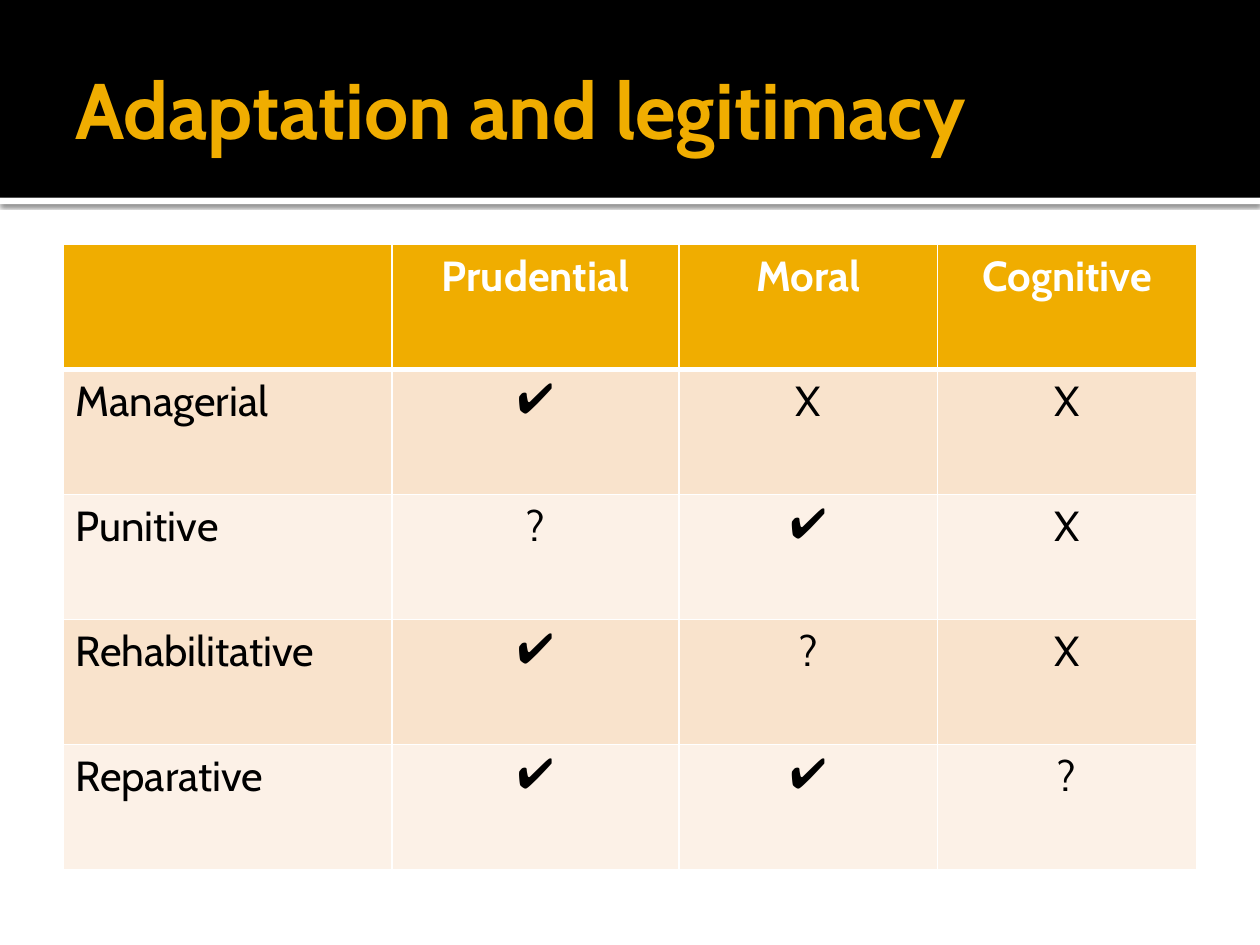
from dataclasses import dataclass
from lxml import etree
from pptx import Presentation
from pptx.dml.color import RGBColor
from pptx.enum.shapes import MSO_SHAPE
from pptx.enum.text import MSO_ANCHOR, PP_ALIGN
from pptx.util import Inches, Pt

RECT = MSO_SHAPE.RECTANGLE
MIDDLE = MSO_ANCHOR.MIDDLE
LEFT, CENTER = PP_ALIGN.LEFT, PP_ALIGN.CENTER
NS = "http://schemas.openxmlformats.org/drawingml/2006/main"


@dataclass
class Theme:
    black: str = "000000"
    white: str = "FFFFFF"
    gold: str = "F0AD00"
    bands: tuple = ("FCF1E7", "F9E3CC")
    font: str = "Cabin"
    symbol_font: str = "Arial"
    title_size: int = 45
    table_size: int = 24


theme = Theme()


def add_run(p, text, size, color, bold=False, font=theme.font):
    r = p.add_run()
    r.text = text
    r.font.name = font
    r.font.size = Pt(size)
    r.font.bold = bold
    r.font.color.rgb = RGBColor.from_string(color)


def set_borders(cell, widths):
    tcPr = cell._tc.get_or_add_tcPr()
    for i, (side, width) in enumerate(widths.items()):
        ln = etree.Element(f"{{{NS}}}ln{side}", w=str(Pt(width)))
        fill = etree.SubElement(ln, f"{{{NS}}}solidFill")
        etree.SubElement(fill, f"{{{NS}}}srgbClr", val=theme.white)
        tcPr.insert(i, ln)


prs = Presentation()
prs.slide_width, prs.slide_height = Inches(10), Inches(7.5)
s = prs.slides.add_slide(prs.slide_layouts[6])

for top, height, color, shadow in [
    (1.57, 0.05, theme.white, True),
    (0, 1.57, theme.black, False),
]:
    sp = s.shapes.add_shape(RECT, 0, Inches(top), Inches(10), Inches(height))
    sp.shadow.inherit = False
    sp.fill.solid()
    sp.fill.fore_color.rgb = RGBColor.from_string(color)
    sp.line.fill.background()
    if shadow:
        effects = sp._element.spPr.find(f"{{{NS}}}effectLst")
        outer = etree.SubElement(
            effects, f"{{{NS}}}outerShdw", blurRad=str(Pt(2.5)), dist=str(Pt(0.8)),
            dir="5400000", algn="tl", rotWithShape="0",
        )
        tint = etree.SubElement(outer, f"{{{NS}}}srgbClr", val=theme.black)
        etree.SubElement(tint, f"{{{NS}}}alpha", val="60000")

title = s.shapes.add_textbox(Inches(0.5), Inches(0.17), Inches(9), Inches(1.37))
tf = title.text_frame
tf.word_wrap = True
tf.vertical_anchor = MIDDLE
tf.margin_left = Inches(0.1)
tf.margin_right = tf.margin_top = tf.margin_bottom = Inches(0.05)
add_run(tf.paragraphs[0], "Adaptation and legitimacy", theme.title_size, theme.gold, True)

rows = [
    ["", "Prudential", "Moral", "Cognitive"],
    ["Managerial", "✔", "X", "X"],
    ["Punitive", "?", "✔", "X"],
    ["Rehabilitative", "✔", "?", "X"],
    ["Reparative", "✔", "✔", "?"],
]
col_widths = [2.61, 2.28, 2.05, 2.06]
table = s.shapes.add_table(
    len(rows), len(col_widths), Inches(0.5), Inches(1.94), Inches(9), Inches(4.96)
).table
table.first_row = table.horz_banding = False
for column, width in zip(table.columns, col_widths):
    column.width = Inches(width)

for i, values in enumerate(rows):
    header = i == 0
    table.rows[i].height = Inches(4.96 / len(rows))
    for j, text in enumerate(values):
        cell = table.cell(i, j)
        cell.fill.solid()
        cell.fill.fore_color.rgb = RGBColor.from_string(
            theme.gold if header else theme.bands[i % 2]
        )
        top, bottom = 3 if i == 1 else 1, 3 if header else 1
        set_borders(cell, {"L": 1, "R": 1, "T": top, "B": bottom})
        p = cell.text_frame.paragraphs[0]
        p.alignment = CENTER if j else LEFT
        if text:
            color = theme.white if header else theme.black
            font = theme.symbol_font if text == "✔" else theme.font
            add_run(p, text, theme.table_size, color, header, font)

prs.save("out.pptx")
